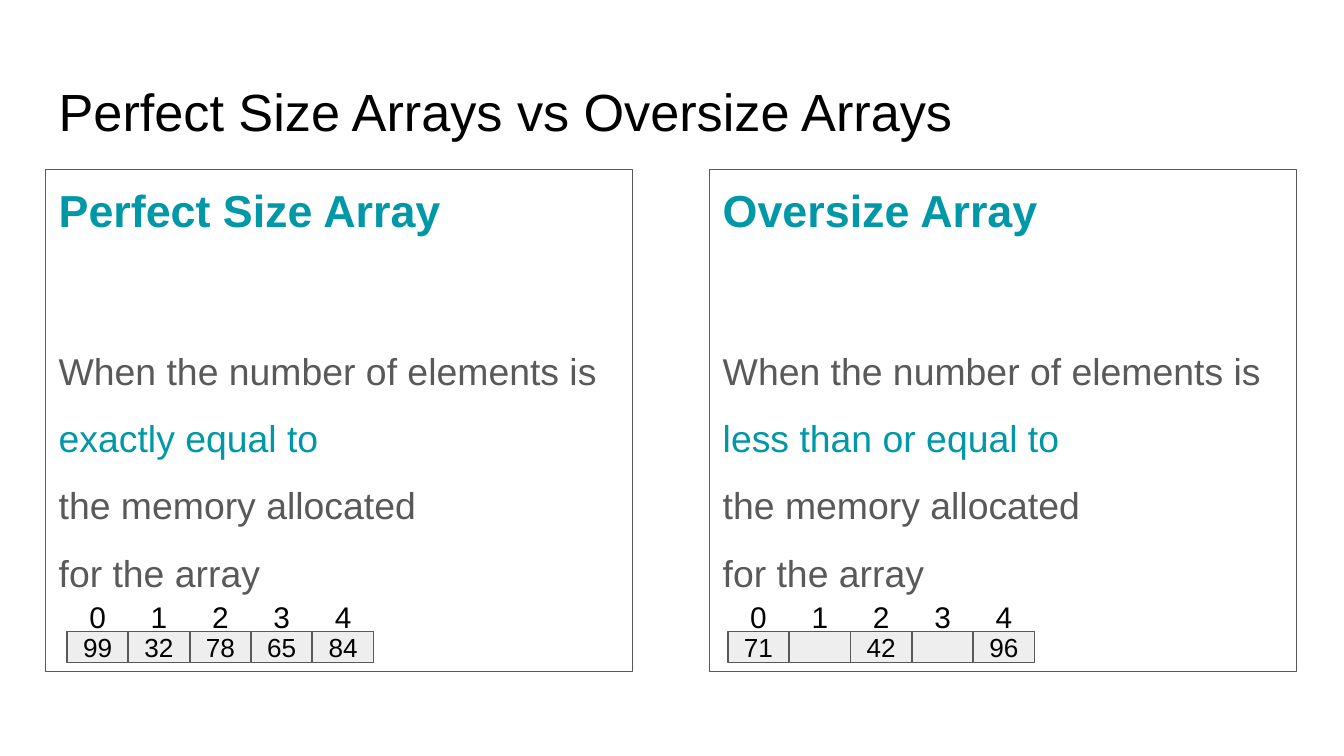
from dataclasses import dataclass

from pptx import Presentation
from pptx.dml.color import RGBColor
from pptx.enum.shapes import MSO_SHAPE
from pptx.enum.text import MSO_ANCHOR, PP_ALIGN
from pptx.shapes.autoshape import Shape
from pptx.slide import Slide
from pptx.text.text import TextFrame, _Paragraph
from pptx.util import Cm, Pt

BLACK = RGBColor(0x00, 0x00, 0x00)
GRAY = RGBColor(0x59, 0x59, 0x59)
TEAL = RGBColor(0x00, 0x97, 0xA7)
CELL_FILL = RGBColor(0xEE, 0xEE, 0xEE)

FONT = "Arial"
MARGIN = Cm(0.25)
PANEL_LEFT, PANEL_TOP = 0.86, 3.2
PANEL_WIDTH, PANEL_HEIGHT = 11.1, 9.5
CELL_PITCH, CELL_WIDTH, CELL_HEIGHT = 1.16, 1.15, 0.58
INDEX_TOP, CELL_TOP = 11.36, 11.94


@dataclass(frozen=True)
class ArrayPanel:
    left: float
    cells_left: float
    heading: str
    relation: str
    values: tuple[str, ...]


PANELS = (
    ArrayPanel(PANEL_LEFT, 1.27, "Perfect Size Array", "exactly equal to",
               ("99", "32", "78", "65", "84")),
    ArrayPanel(13.41, 13.76, "Oversize Array", "less than or equal to",
               ("71", "", "42", "", "96")),
)


def prepare_frame(text_frame: TextFrame, anchor: MSO_ANCHOR) -> None:
    text_frame.word_wrap = True
    text_frame.vertical_anchor = anchor
    text_frame.margin_left = text_frame.margin_right = MARGIN
    text_frame.margin_top = text_frame.margin_bottom = MARGIN


def format_paragraph(paragraph: _Paragraph, size: int, color: RGBColor,
                     bold: bool = False,
                     alignment: PP_ALIGN = PP_ALIGN.LEFT) -> None:
    paragraph.alignment = alignment
    for run in paragraph.runs:
        run.font.name = FONT
        run.font.size = Pt(size)
        run.font.bold = bold
        run.font.color.rgb = color


def add_box(slide: Slide, left: float, top: float,
            width: float, height: float) -> Shape:
    shape = slide.shapes.add_shape(
        MSO_SHAPE.RECTANGLE, Cm(left), Cm(top), Cm(width), Cm(height))
    shape.shadow.inherit = False
    shape.fill.background()
    shape.line.color.rgb = GRAY
    shape.line.width = Pt(0.75)
    return shape


def write_label(shape: Shape, text: str, size: int) -> None:
    prepare_frame(shape.text_frame, MSO_ANCHOR.MIDDLE)
    shape.text_frame.text = text
    format_paragraph(shape.text_frame.paragraphs[0], size, BLACK,
                     alignment=PP_ALIGN.CENTER)


def add_title(slide: Slide, text: str) -> None:
    title = slide.shapes.add_textbox(Cm(PANEL_LEFT), Cm(1.24), Cm(23.67), Cm(1.6))
    prepare_frame(title.text_frame, MSO_ANCHOR.TOP)
    title.text_frame.text = text
    format_paragraph(title.text_frame.paragraphs[0], 28, BLACK)


def add_description(slide: Slide, panel: ArrayPanel) -> None:
    box = add_box(slide, panel.left, PANEL_TOP, PANEL_WIDTH, PANEL_HEIGHT)
    text_frame = box.text_frame
    prepare_frame(text_frame, MSO_ANCHOR.TOP)
    text_frame.text = "\n".join((
        panel.heading,
        "When the number of elements is",
        panel.relation,
        "the memory allocated",
        "for the array",
    ))
    heading, *body = text_frame.paragraphs
    format_paragraph(heading, 24, TEAL, bold=True)
    for paragraph in body:
        color = TEAL if paragraph.text == panel.relation else GRAY
        format_paragraph(paragraph, 20, color)
        paragraph.line_spacing = 1.5
    body[0].space_before = Pt(48)


def add_cells(slide: Slide, panel: ArrayPanel) -> None:
    for index, value in enumerate(panel.values):
        left = panel.cells_left + index * CELL_PITCH
        cell = add_box(slide, left, CELL_TOP, CELL_WIDTH, CELL_HEIGHT)
        cell.fill.solid()
        cell.fill.fore_color.rgb = CELL_FILL
        if value:
            write_label(cell, value, 14)
        index_label = slide.shapes.add_textbox(
            Cm(left), Cm(INDEX_TOP), Cm(CELL_WIDTH), Cm(CELL_HEIGHT))
        write_label(index_label, str(index), 16)


def main() -> None:
    presentation = Presentation()
    presentation.slide_width = Cm(25.4)
    presentation.slide_height = Cm(14.29)
    slide = presentation.slides.add_slide(presentation.slide_layouts[6])

    # Title
    add_title(slide, "Perfect Size Arrays vs Oversize Arrays")

    # Descriptions, each with its example array
    for panel in PANELS:
        add_description(slide, panel)
        add_cells(slide, panel)

    presentation.save("out.pptx")


if __name__ == "__main__":
    main()
